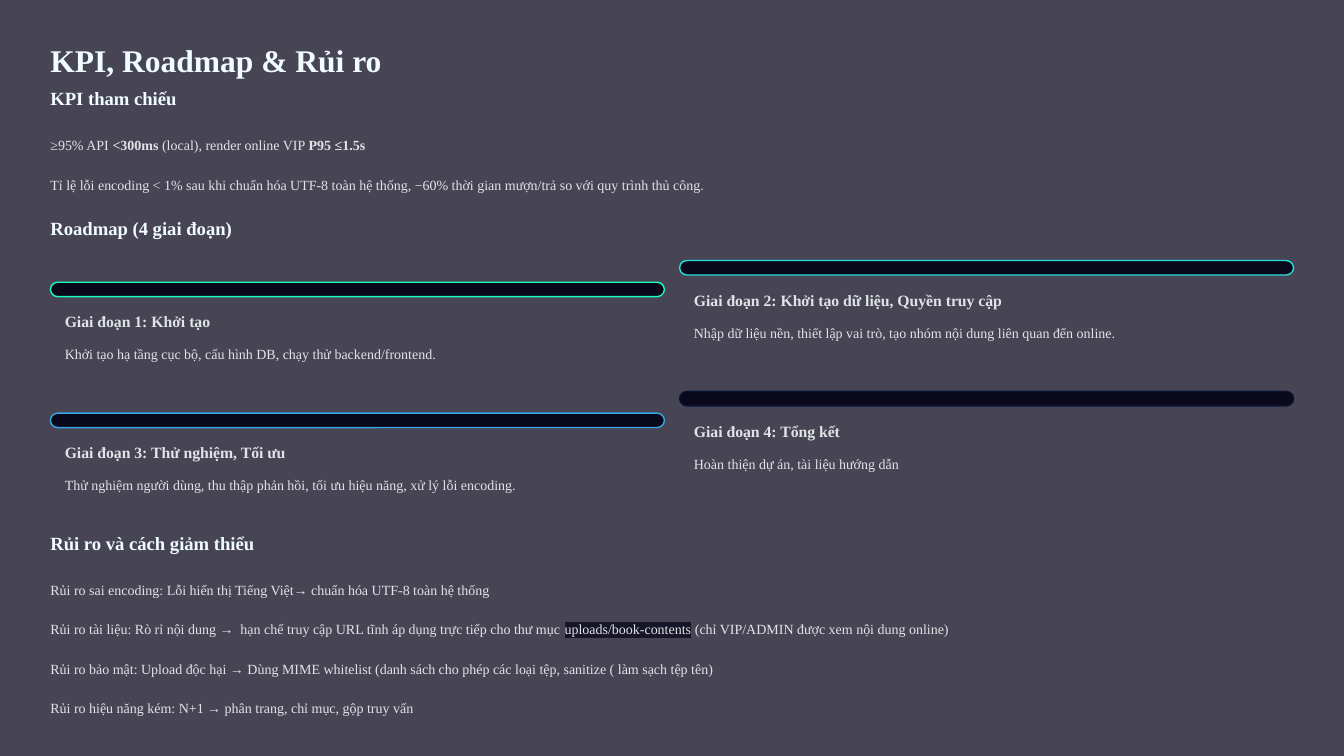
"""Build the KPI, roadmap and risk slide."""
from lxml import etree
from pptx import Presentation
from pptx.dml.color import RGBColor
from pptx.enum import shapes, text
from pptx.oxml import ns
from pptx.util import Pt

COLOURS = {"night": "0A081B", "bright": "F0FCFF", "soft": "E0E4E6", "code": "171528",
           "green": "16FFBB", "cyan": "29DDDA", "blue": "37A7E7", "navy": "091231"}
STYLES = {
    "title": {"size": 27, "bold": True, "colour": "bright", "spacing": 34, "height": 34.5},
    "heading": {"size": 16, "bold": True, "colour": "bright", "spacing": 20.5, "height": 20.9},
    "stage": {"size": 13.5, "bold": True, "colour": "soft", "spacing": 17, "height": 17.3},
    "body": {"size": 12, "bold": False, "colour": "soft", "spacing": 19.5, "height": 19.5},
}
TITLE = ("KPI, Roadmap & Rủi ro", 33.8, 283.7)
SECTIONS = [
    ("KPI tham chiếu", 73.4, 164.9, [
        [("≥95% API ", ""), ("<300ms", "bold"), (" (local), render online VIP ", ""),
         ("P95 ≤1.5s", "bold")],
        [("Tỉ lệ lỗi encoding < 1% sau khi chuẩn hóa UTF‑8 toàn hệ thống, "
          "−60% thời gian mượn/trả so với quy trình thủ công.", "")],
    ]),
    ("Roadmap (4 giai đoạn)", 184.3, 171.4, []),
    ("Rủi ro và cách giảm thiểu", 454.4, 193, [
        [("Rủi ro sai encoding: Lỗi hiển thị Tiếng Việt→ chuẩn hóa UTF‑8 toàn hệ thống", "")],
        [("Rủi ro tài liệu: Rò rỉ nội dung →  hạn chế truy cập URL tĩnh "
          "áp dụng trực tiếp cho thư mục ", ""),
         ("uploads/book-contents", "code"), (" (chỉ VIP/ADMIN được xem nội dung online)", "")],
        [("Rủi ro bảo mật: Upload độc hại → Dùng MIME whitelist "
          "(danh sách cho phép các loại tệp, sanitize ( làm sạch tệp tên)", "")],
        [("Rủi ro hiệu năng kém: N+1 → phân trang, chỉ mục, gộp truy vấn", "")],
    ]),
]
STAGES = [
    ("Giai đoạn 1: Khởi tạo", 137.5, "green",
     "Khởi tạo hạ tầng cục bộ, cấu hình DB, chạy thử backend/frontend."),
    ("Giai đoạn 2: Khởi tạo dữ liệu, Quyền truy cập", 280.8, "cyan",
     "Nhập dữ liệu nền, thiết lập vai trò, tạo nhóm nội dung liên quan đến online."),
    ("Giai đoạn 3: Thử nghiệm, Tối ưu", 200.9, "blue",
     "Thử nghiệm người dùng, thu thập phản hồi, tối ưu hiệu năng, xử lý lỗi encoding."),
    ("Giai đoạn 4: Tổng kết", 137.5, "navy", "Hoàn thiện dự án, tài liệu hướng dẫn"),
]
WIDTH, HEIGHT, MARGIN = 1152, 648, 43.2
FULL = WIDTH - 2 * MARGIN
BAR_WIDTH, BAR_HEIGHT, BAR_TOP, INSET = 526.3, 12.4, 241.9, 12.3
ROW_STEP, RIGHT_RISE = 112.2, 18.6
FIRST_LINE, LINE_STEP = 38.9, 33.7


def rgb(name):
    return RGBColor.from_string(COLOURS[name])


def add_shape(page, kind, left, top, width, height):
    shape = page.shapes.add_shape(kind, Pt(left), Pt(top), Pt(width), Pt(height))
    shape.shadow.inherit = False
    shape.fill.solid()
    shape.fill.fore_color.rgb = rgb("night")
    return shape


def add_text(page, spans, style, left, top, width):
    look = STYLES[style]
    box = page.shapes.add_textbox(Pt(left), Pt(top), Pt(width), Pt(look["height"]))
    frame = box.text_frame
    layout = {"margin_left": 0, "margin_top": 0, "margin_right": 0, "margin_bottom": 0,
              "word_wrap": False, "auto_size": text.MSO_AUTO_SIZE.NONE}
    for name, value in layout.items():
        setattr(frame, name, value)
    para = frame.paragraphs[0]
    para.line_spacing = Pt(look["spacing"])
    for words, mark in spans:
        span = para.add_run()
        span.text = words
        letter = {"name": "Times New Roman", "size": Pt(look["size"]),
                  "bold": look["bold"] or mark == "bold"}
        for name, value in letter.items():
            setattr(span.font, name, value)
        span.font.color.rgb = rgb(look["colour"])
        if mark == "code":
            highlight = etree.Element(ns.qn("a:highlight"))
            etree.SubElement(highlight, ns.qn("a:srgbClr"), val=COLOURS["code"])
            span.font._element.find(ns.qn("a:solidFill")).addnext(highlight)


def add_stage(page, index, stage):
    name, name_width, colour, detail = stage
    row, column = divmod(index, 2)
    left = MARGIN + column * (FULL - BAR_WIDTH)
    top = BAR_TOP + row * ROW_STEP - column * RIGHT_RISE
    bar = add_shape(page, shapes.MSO_SHAPE.ROUNDED_RECTANGLE, left, top, BAR_WIDTH, BAR_HEIGHT)
    bar.adjustments[0] = 0.5
    bar.line.color.rgb = rgb(colour)
    bar.line.width = Pt(1.2)
    add_text(page, [(name, "")], "stage", left + INSET, top + 24.8, name_width)
    add_text(page, [(detail, "")], "body", left + INSET, top + 49.5, BAR_WIDTH - 2 * INSET)


def main():
    deck = Presentation()
    deck.slide_width, deck.slide_height = Pt(WIDTH), Pt(HEIGHT)
    page = deck.slides.add_slide(deck.slide_layouts[6])
    veil = add_shape(page, shapes.MSO_SHAPE.RECTANGLE, 0, 0, WIDTH, HEIGHT)
    veil.line.fill.background()
    shade = veil._element.spPr.find(ns.qn("a:solidFill"))[0]
    etree.SubElement(shade, ns.qn("a:alpha"), val="75000")

    title, title_top, title_width = TITLE
    add_text(page, [(title, "")], "title", MARGIN, title_top, title_width)
    for heading, top, width, lines in SECTIONS:
        add_text(page, [(heading, "")], "heading", MARGIN, top, width)
        for index, spans in enumerate(lines):
            add_text(page, spans, "body", MARGIN, top + FIRST_LINE + index * LINE_STEP, FULL)
    for index, stage in enumerate(STAGES):
        add_stage(page, index, stage)
    deck.save("out.pptx")


if __name__ == "__main__":
    main()
